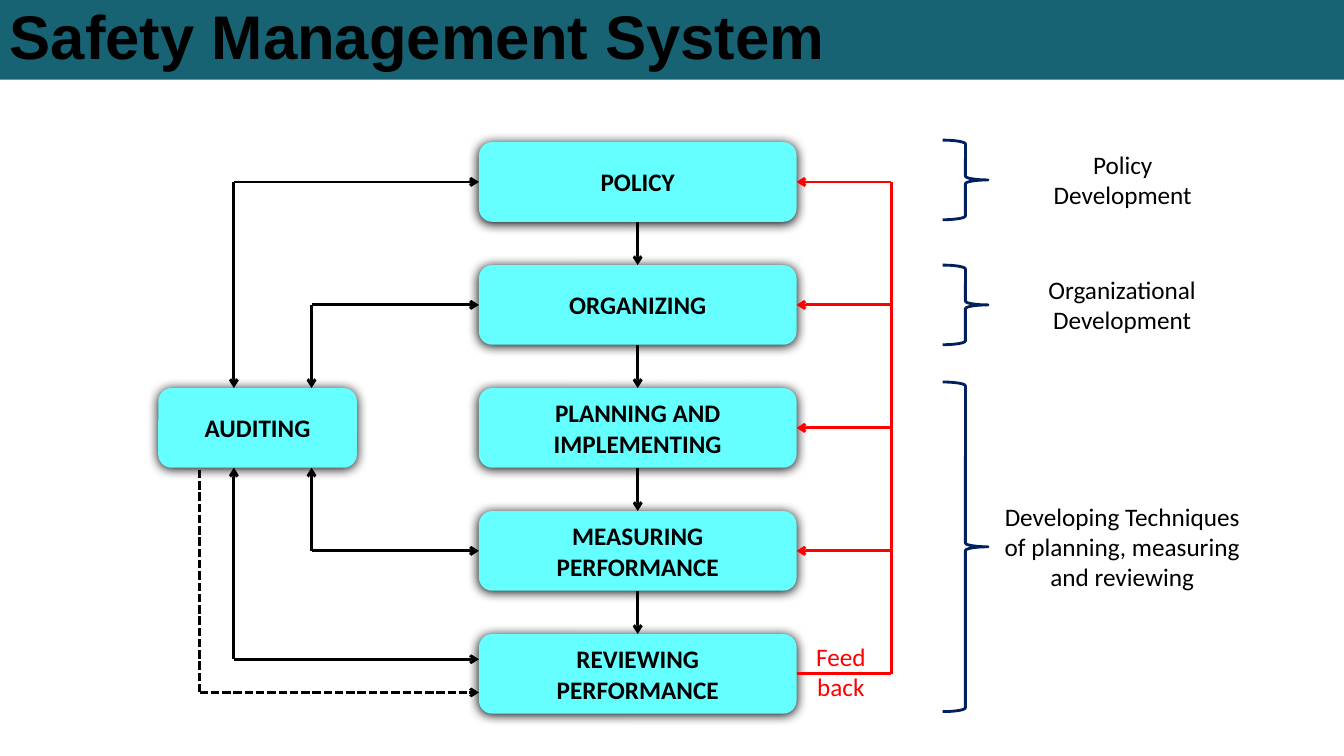
import pptx
import pptx.util
import pptx.dml.color
import pptx.enum.dml
import pptx.enum.shapes
import pptx.enum.text
import pptx.oxml
import pptx.oxml.ns

SHAPE = pptx.enum.shapes.MSO_SHAPE
ALIGN = pptx.enum.text.PP_ALIGN
MIDDLE = pptx.enum.text.MSO_ANCHOR.MIDDLE
DASH = pptx.enum.dml.MSO_LINE.SQUARE_DOT
INCH = pptx.util.Inches
NS = pptx.oxml.ns.nsdecls("a")

COLORS = {"band": "176373", "box": "66FFFF", "ink": "000000",
          "feed": "FF0000", "brace": "002060"}

# Grid: column edges in inches, rows at an equal pitch
COLS = {"dash": 1.98, "outer": 2.32, "inner": 3.09, "audit": 1.57,
        "step": 4.75, "feed": 8.84, "brace": 9.35}
TOP, PITCH, HIGH = 1.41, 1.22, 0.79
WIDE, SLIM = 3.15, 1.97
STEPS = ["POLICY", "ORGANIZING", "PLANNING AND\nIMPLEMENTING",
         "MEASURING\nPERFORMANCE", "REVIEWING\nPERFORMANCE"]


def row(num):
    return TOP + PITCH * num


def mid(num):
    return row(num) + HIGH / 2


def color(name):
    return pptx.dml.color.RGBColor.from_string(COLORS[name])


def write(shape, text, size=18, tint="ink", bold=False, font="Calibri",
          align=ALIGN.CENTER):
    frame = shape.text_frame
    frame.text = text
    for para in frame.paragraphs:
        para.alignment = align
        for run in para.runs:
            run.font.name = font
            run.font.size = pptx.util.Pt(size)
            run.font.bold = bold
            run.font.color.rgb = color(tint)


def add_form(slide, kind, area, fill):
    shape = slide.shapes.add_shape(kind, *map(INCH, area))
    shape.shadow.inherit = False
    shape.fill.solid()
    shape.fill.fore_color.rgb = color(fill)
    shape.line.fill.background()
    shape.text_frame.vertical_anchor = MIDDLE
    return shape


def add_title(slide, text):
    band = add_form(slide, SHAPE.RECTANGLE, (0, 0, 13.33, HIGH), "band")
    write(band, text, 44, bold=True, font="Arial", align=ALIGN.LEFT)
    band.text_frame.paragraphs[0].line_spacing = 0.9


def add_box(slide, text, left, num, width):
    box = add_form(slide, SHAPE.ROUNDED_RECTANGLE,
                   (left, row(num), width, HIGH), "box")
    write(box, text, bold=True)
    # Soft shadow just below the box
    glow = pptx.oxml.parse_xml(
        f'<a:outerShdw {NS} blurRad="107950" dist="12700" dir="5400000" '
        'algn="ctr"><a:srgbClr val="000000"/></a:outerShdw>')
    box.element.spPr.find(pptx.oxml.ns.qn("a:effectLst")).append(glow)
    return box


def add_line(slide, start, end, tint="ink", arrow=True, dash=False):
    """Join two ends; each is a point (x, y) or a (shape, side) pair."""
    line = slide.shapes.add_connector(
        pptx.enum.shapes.MSO_CONNECTOR.STRAIGHT, 0, 0, 0, 0)
    line.begin_x, line.begin_y = place(start)
    line.end_x, line.end_y = place(end)
    if glued(start):
        line.begin_connect(*start)
    if glued(end):
        line.end_connect(*end)
    line.line.color.rgb = color(tint)
    line.line.width = pptx.util.Pt(2)
    if dash:
        line.line.dash_style = DASH
    if arrow:
        line.line._get_or_add_ln().append(
            pptx.oxml.parse_xml(f'<a:tailEnd {NS} type="arrow"/>'))
    line.element.spPr.append(pptx.oxml.parse_xml(f"<a:effectLst {NS}/>"))


def glued(end):
    return hasattr(end[0], "shape_id")


def place(end):
    if not glued(end):
        return INCH(end[0]), INCH(end[1])
    box, side = end
    across = (0.5, 0, 0.5, 1)[side]
    down = (0, 0.5, 1, 0.5)[side]
    return (box.left + int(box.width * across),
            box.top + int(box.height * down))


def add_label(slide, text, area, tint="ink", wrap=False):
    label = slide.shapes.add_textbox(*map(INCH, area))
    label.text_frame.word_wrap = wrap
    write(label, text, tint=tint)


def add_brace(slide, top, height):
    brace = slide.shapes.add_shape(
        SHAPE.RIGHT_BRACE, *map(INCH, (COLS["brace"], top, 0.45, height)))
    brace.shadow.inherit = False
    brace.fill.background()
    brace.line.color.rgb = color("brace")
    brace.line.width = pptx.util.Pt(2)


def main():
    deck = pptx.Presentation()
    deck.slide_width, deck.slide_height = INCH(13.33), INCH(7.5)
    slide = deck.slides.add_slide(deck.slide_layouts[6])
    add_title(slide, "Safety Management System")

    # Chain of steps
    boxes = [add_box(slide, text, COLS["step"], num, WIDE)
             for num, text in enumerate(STEPS)]
    for upper, lower in zip(boxes, boxes[1:]):
        add_line(slide, (upper, 2), (lower, 0))

    # Auditing, with a bent pair of arrows to each audited step
    add_box(slide, "AUDITING", COLS["audit"], 2, SLIM)
    low = row(4) + 0.25
    edge = row(2) + HIGH
    bends = [("outer", mid(0), row(2), (boxes[0], 1)),
             ("inner", mid(1), row(2), (boxes[1], 1)),
             ("inner", mid(3), edge, (boxes[3], 1)),
             ("outer", low, edge, (COLS["step"], low))]
    for col, turn, side, goal in bends:
        corner = (COLS[col], turn)
        add_line(slide, corner, (COLS[col], side))
        add_line(slide, corner, goal)
    base = row(4) + 0.58
    corner = (COLS["dash"], base)
    add_line(slide, corner, (COLS["dash"], edge), arrow=False, dash=True)
    add_line(slide, corner, (COLS["step"], base), dash=True)

    # Feedback loop
    feed = COLS["feed"]
    add_line(slide, (feed, mid(4)), (feed, mid(0)), "feed", arrow=False)
    for num, box in enumerate(boxes):
        add_line(slide, (feed, mid(num)), (box, 3), "feed",
                 arrow=box is not boxes[-1])
    add_label(slide, "Feed\nback", (7.99, 6.31, 0.7, 0.71), "feed")

    # Braces and the stages they mark
    for top, height in [(1.39, HIGH), (row(1), HIGH), (3.79, 3.27)]:
        add_brace(slide, top, height)
    add_label(slide, "Policy\nDevelopment", (10.34, 1.43, 1.59, 0.71))
    add_label(slide, "Organizational\nDevelopment", (10.26, 2.67, 1.74, 0.71))
    add_label(slide, "Developing Techniques\nof planning, measuring\n"
              "and reviewing", (9.74, 4.92, 2.78, 1.01), wrap=True)

    deck.save("out.pptx")


if __name__ == "__main__":
    main()
